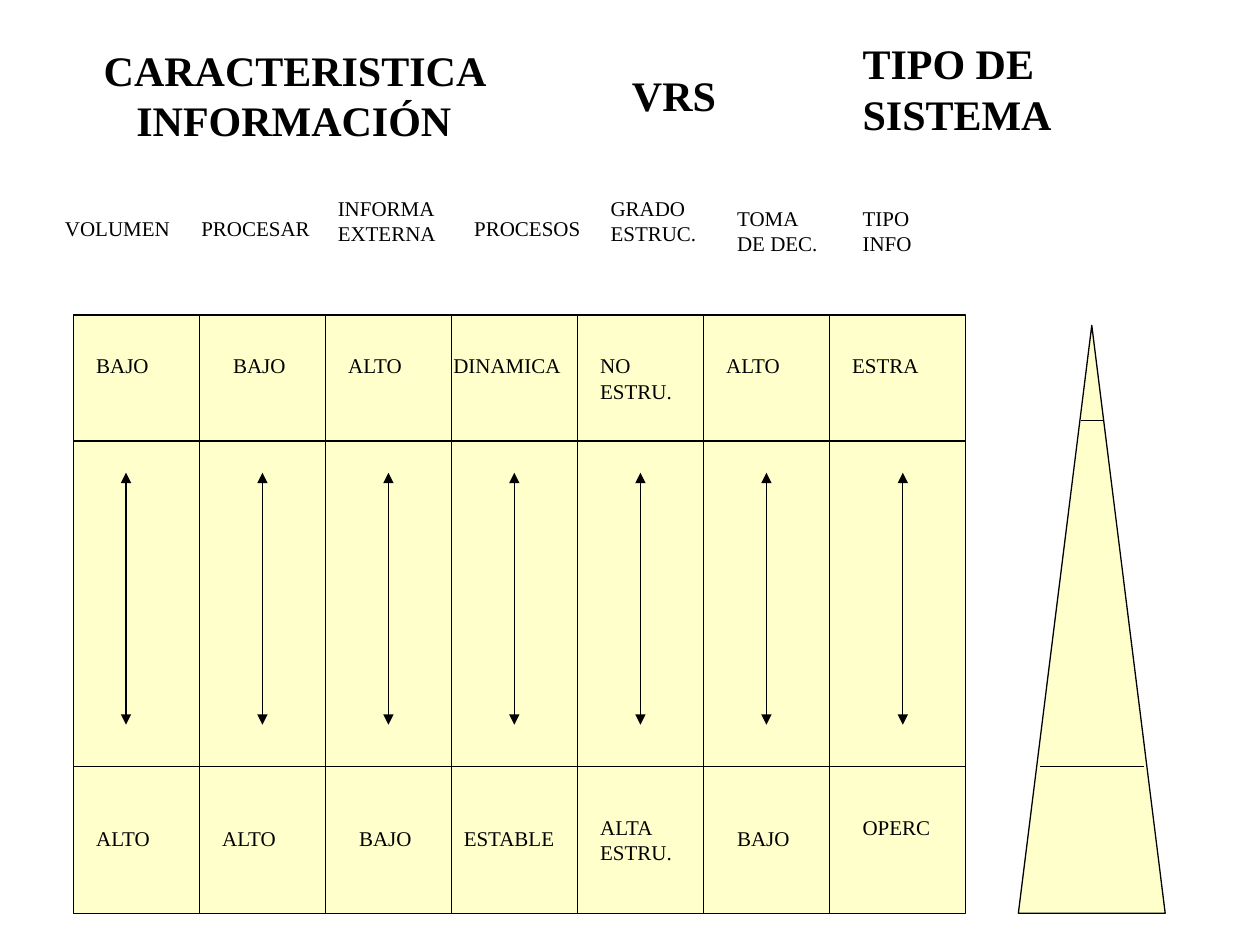
import pptx
import pptx.util
import pptx.dml.color
import pptx.enum.shapes
import pptx.enum.text
from lxml import etree

UNIT = 2.54 / 12
FONT = "Times New Roman"
BLACK, CREAM = "000000", "FFFFCC"
ALIGN = pptx.enum.text.PP_ALIGN
ANCHOR = pptx.enum.text.MSO_ANCHOR
FIT = pptx.enum.text.MSO_AUTO_SIZE
SHAPE = pptx.enum.shapes.MSO_SHAPE

HEADINGS = [
    ("CARACTERISTICA INFORMACIÓN", 7, 4, 42, 10, ALIGN.CENTER, ANCHOR.MIDDLE, FIT.NONE),
    ("VRS", 59, 6, 13, 6, ALIGN.LEFT, ANCHOR.TOP, FIT.SHAPE_TO_FIT_TEXT),
    ("TIPO DE SISTEMA", 81, 3, 22.7, 10.8, ALIGN.LEFT, ANCHOR.TOP, FIT.SHAPE_TO_FIT_TEXT),
]
COLUMN_TITLES = [
    ("VOLUMEN", 5, 20, 13), ("PROCESAR", 18, 20, 14), ("INFORMA EXTERNA", 31, 18, 12),
    ("PROCESOS", 44, 20, 13), ("GRADO ESTRUC.", 57, 18, 12), ("TOMA DE DEC.", 69, 19, 11),
    ("TIPO INFO", 81, 19, 11),
]
TOP_LEVEL = [
    ("BAJO", 8, 33, 9), ("BAJO", 21, 33, 9), ("ALTO", 32, 33, 10), ("DINAMICA", 42, 33, 13),
    ("NO ESTRU.", 56, 33, 10), ("ALTO", 68, 33, 10), ("ESTRA", 80, 33, 10),
]
BOTTOM_LEVEL = [
    ("ALTO", 8, 78, 10), ("ALTO", 20, 78, 10), ("BAJO", 33, 78, 9), ("ESTABLE", 43, 78, 12),
    ("ALTA ESTRU.", 56, 77, 10), ("BAJO", 69, 78, 9), ("OPERC", 81, 77, 10),
]
PANEL = (7, 30, 85, 57)
PYRAMID = (97, 31, 14, 56)
COLUMN_WIDTH = 12
ROW_LINES = [42, 73]
PYRAMID_LINES = [(103, 105, 40), (99, 109, 73)]
ARROWS_X = [12, 25, 37, 49, 61, 73, 86]
ARROW_TOP, ARROW_BOTTOM = 45, 69


def grid(*values):
    return [pptx.util.Cm(round(v * UNIT, 2)) for v in values]


def color(value):
    return pptx.dml.color.RGBColor.from_string(value)


def apply(target, **formats):
    for name, value in formats.items():
        setattr(target, name, value)


def outline(obj):
    obj.line.color.rgb = color(BLACK)
    obj.line.width = pptx.util.Pt(0.75)


def add_text(s, text, box, size, bold=False, align=ALIGN.LEFT,
             anchor=ANCHOR.TOP, fit=FIT.SHAPE_TO_FIT_TEXT):
    tf = s.shapes.add_textbox(*grid(*box)).text_frame
    apply(tf, word_wrap=True, auto_size=fit, vertical_anchor=anchor)
    p = tf.paragraphs[0]
    p.alignment = align
    r = p.add_run()
    r.text = text
    apply(r.font, name=FONT, size=pptx.util.Pt(size), bold=bold)
    r.font.color.rgb = color(BLACK)


def add_area(s, kind, box):
    sp = s.shapes.add_shape(kind, *grid(*box))
    sp.shadow.inherit = False
    sp.fill.solid()
    sp.fill.fore_color.rgb = color(CREAM)
    outline(sp)


def add_line(s, x1, y1, x2, y2, arrows=False):
    sp = s.shapes.add_connector(pptx.enum.shapes.MSO_CONNECTOR.STRAIGHT, *grid(x1, y1, x2, y2))
    outline(sp)
    ns = pptx.oxml.ns.qn
    if arrows:
        for end in ("a:headEnd", "a:tailEnd"):
            etree.SubElement(sp.line._get_or_add_ln(), ns(end), type="triangle")
    etree.SubElement(sp._element.spPr, ns("a:effectLst"))


def main():
    prs = pptx.Presentation()
    prs.slide_width, prs.slide_height = grid(120, 90)
    s = prs.slides.add_slide(prs.slide_layouts[6])

    for text, x, y, w, h, align, anchor, fit in HEADINGS:
        add_text(s, text, (x, y, w, h), 24, True, align, anchor, fit)

    add_area(s, SHAPE.RECTANGLE, PANEL)
    add_area(s, SHAPE.ISOSCELES_TRIANGLE, PYRAMID)

    left, top, width, height = PANEL
    for i in range(1, len(COLUMN_TITLES)):
        x = left + i * COLUMN_WIDTH
        add_line(s, x, top + height, x, top)
    for x1, x2, y in [(left, left + width, y) for y in ROW_LINES] + PYRAMID_LINES:
        add_line(s, x1, y, x2, y)

    for text, x, y, w in COLUMN_TITLES + TOP_LEVEL + BOTTOM_LEVEL:
        add_text(s, text, (x, y, w, 6 if " " in text else 3.6), 12)
    for x in ARROWS_X:
        add_line(s, x, ARROW_TOP, x, ARROW_BOTTOM, True)

    prs.save("out.pptx")


if __name__ == "__main__":
    main()
